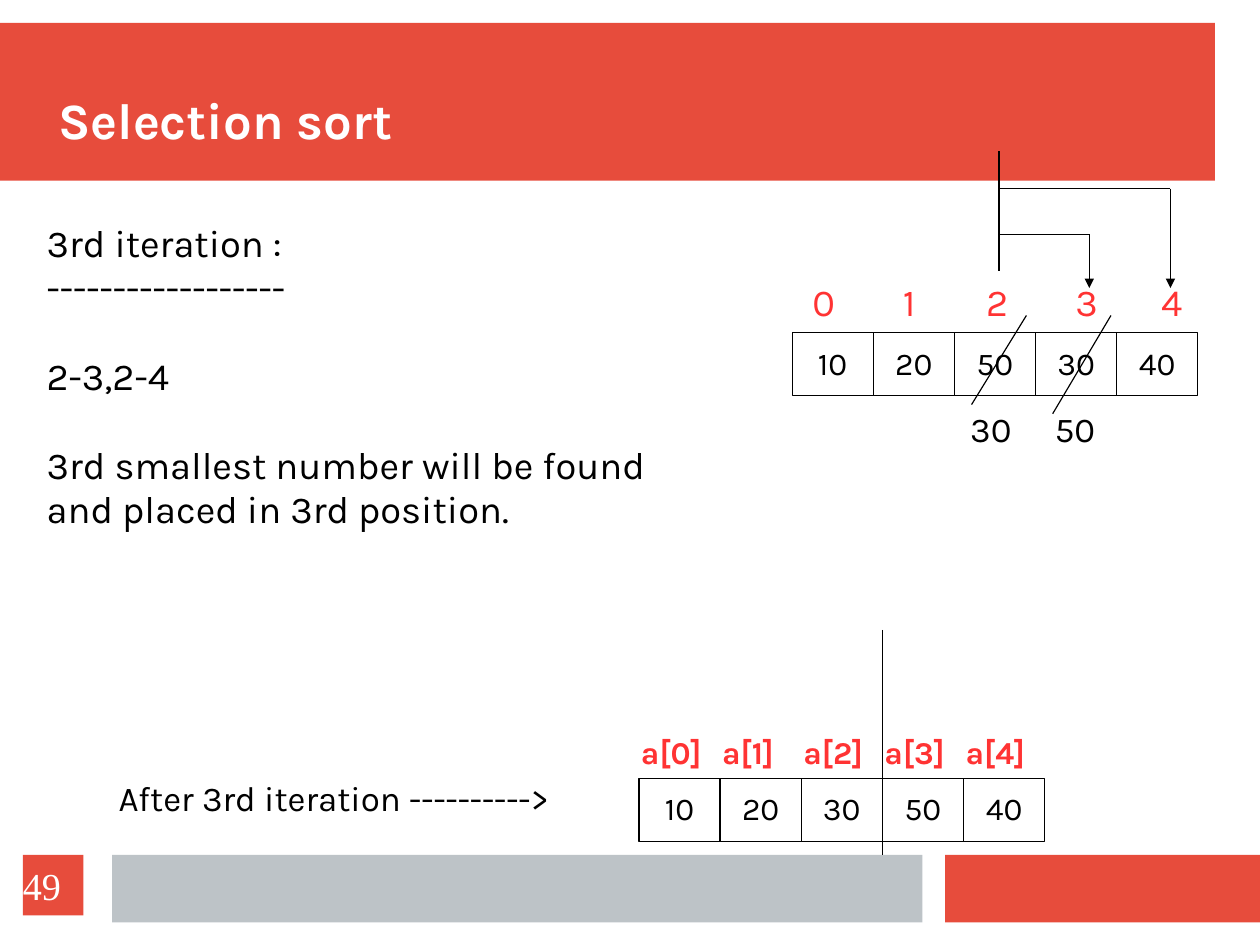
from pptx import Presentation
from pptx.dml.color import RGBColor
from pptx.enum.shapes import MSO_CONNECTOR, MSO_SHAPE
from pptx.enum.text import MSO_ANCHOR, MSO_AUTO_SIZE, PP_ALIGN
from pptx.oxml.ns import qn
from pptx.util import Cm, Inches, Pt
from lxml import etree

RECTANGLE = MSO_SHAPE.RECTANGLE
STRAIGHT = MSO_CONNECTOR.STRAIGHT
LEFT, CENTER = PP_ALIGN.LEFT, PP_ALIGN.CENTER
TOP, MIDDLE, BOTTOM = MSO_ANCHOR.TOP, MSO_ANCHOR.MIDDLE, MSO_ANCHOR.BOTTOM
NO_AUTOFIT = MSO_AUTO_SIZE.NONE

RED, GRAY, WHITE, BLACK, LABEL_RED = "E74C3C", "BDC3C7", "FFFFFF", "000000", "FF3333"
CELL_WIDTH, CELL_HEIGHT = 0.71, 0.55


def color(hex_string):
    return RGBColor.from_string(hex_string)


def inches(box):
    return [Inches(value) for value in box]


def write(shape, text, size, ink=BLACK, bold=False, align=LEFT, anchor=TOP,
          insets=(0.1, 0.05, 0.1, 0.05), font="Karla", spacing=0.97):
    frame = shape.text_frame
    frame.text = text
    frame.word_wrap = True
    frame.auto_size = NO_AUTOFIT
    frame.vertical_anchor = anchor
    (frame.margin_left, frame.margin_top,
     frame.margin_right, frame.margin_bottom) = inches(insets)
    for para in frame.paragraphs:
        para.alignment = align
        para.line_spacing = spacing
        for span in para.runs:
            span.font.name = font
            span.font.size = Pt(size)
            span.font.bold = bold
            span.font.color.rgb = color(ink)
    return frame


def add_text(page, box, text, size, **style):
    return write(page.shapes.add_textbox(*inches(box)), text, size, **style)


def add_block(page, box, fill, outline=None):
    block = page.shapes.add_shape(RECTANGLE, *inches(box))
    block.shadow.inherit = False
    block.fill.solid()
    block.fill.fore_color.rgb = color(fill)
    if outline:
        block.line.color.rgb = color(outline)
        block.line.width = Pt(0.75)
    else:
        block.line.fill.background()
    return block


def add_line(page, start, end, arrow=False):
    line = page.shapes.add_connector(STRAIGHT, *inches(start + end))
    line.line.color.rgb = color(BLACK)
    line.line.width = Pt(0.75)
    if arrow:
        outline = line._element.spPr.find(qn("a:ln"))
        etree.SubElement(outline, qn("a:tailEnd"), type="triangle")
    etree.SubElement(line._element.spPr, qn("a:effectLst"))


def add_header(page, box):
    left, top, width, height = box
    add_block(page, box, RED)
    title = page.shapes.title
    title.left, title.top, title.width, title.height = inches(
        (left + 0.39, top + 0.19, width - 0.44, height - 0.45))
    write(title, "Selection sort", 32, ink=WHITE, bold=True, anchor=BOTTOM,
          insets=(0.12, 0, 0, 0))
    # Keep the title text above the band
    page.shapes._spTree.append(title._element)


def add_footer(page, box):
    left, top, width, height = box
    add_block(page, (left + 8.27, top, width - 8.27, height), RED)
    add_block(page, (left + 0.98, top, 7.09, height), GRAY)
    number = add_block(page, (left + 0.2, top, 0.53, 0.53), RED)
    write(number, "49", 24, ink=WHITE, anchor=MIDDLE, insets=(0, 0, 0, 0),
          font="Times New Roman", spacing=1.0)


def add_explanation(page, box):
    lines = ["3rd iteration :", "------------------", "2-3,2-4",
             "3rd smallest number will be found", "and placed in 3rd position."]
    frame = add_text(page, box, "\n".join(lines), 24)
    for para in frame.paragraphs[2:4]:
        para.space_before = Pt(28)


def add_cells(page, left, top, values):
    for index, value in enumerate(values):
        cell = add_block(page, (left + index * CELL_WIDTH, top, CELL_WIDTH, CELL_HEIGHT),
                         WHITE, BLACK)
        write(cell, str(value), 20, align=CENTER, anchor=MIDDLE)


def add_comparison(page, box):
    left, top, width, height = box
    cells_top = top + 1.59
    add_cells(page, left, cells_top, [10, 20, 50, 30, 40])
    for index, offset in enumerate([0.08, 0.87, 1.6, 2.38, 3.13]):
        add_text(page, (left + offset, cells_top - 0.5, 0.41, 0.5), str(index), 24,
                 ink=LABEL_RED)

    # Stem with one branch to each compared index
    stem = left + 1.81
    add_line(page, (stem, top + 1.05), (stem, top))
    for target, drop in [(left + 2.6, top + 0.73), (left + 3.31, top + 0.33)]:
        add_line(page, (stem, drop), (target, drop))
        add_line(page, (target, drop), (target, top + 1.2), arrow=True)

    # Struck-out values and their replacements
    add_line(page, (left + 2.05, top + 1.44), (left + 1.57, top + 2.22))
    add_line(page, (left + 2.79, top + 1.44), (left + 2.28, top + 2.3))
    for value, offset in [("30", 1.46), ("50", 2.2)]:
        add_text(page, (left + offset, top + height - 0.47, 0.59, 0.47), value, 22)


def add_result(page, box):
    left, top, width, height = box
    cells_left, cells_top = left + 4.65, top + 1.3
    add_cells(page, cells_left, cells_top, [10, 20, 30, 50, 40])
    for index in range(5):
        add_text(page, (cells_left - 0.08 + index * CELL_WIDTH, cells_top - 0.43, 0.83, 0.43),
                 f"a[{index}]", 20, ink=LABEL_RED, bold=True)
    add_text(page, (left, cells_top - 0.04, 4.37, 0.47), "After 3rd iteration ---------->", 22)

    # Border between the sorted and unsorted parts
    border = cells_left + 3 * CELL_WIDTH
    add_line(page, (border, top), (border, top + height))


def main():
    deck = Presentation()
    deck.slide_width, deck.slide_height = Cm(28), Cm(21)
    page = deck.slides.add_slide(deck.slide_layouts[5])
    add_header(page, (0, 0.2, 10.63, 1.38))
    add_footer(page, (0, 7.48, 11.03, 0.59))
    add_comparison(page, (6.93, 1.32, 3.55, 2.69))
    add_explanation(page, (0.31, 1.89, 5.75, 2.83))
    add_result(page, (0.94, 5.51, 8.2, 1.97))
    deck.save("out.pptx")


if __name__ == "__main__":
    main()
